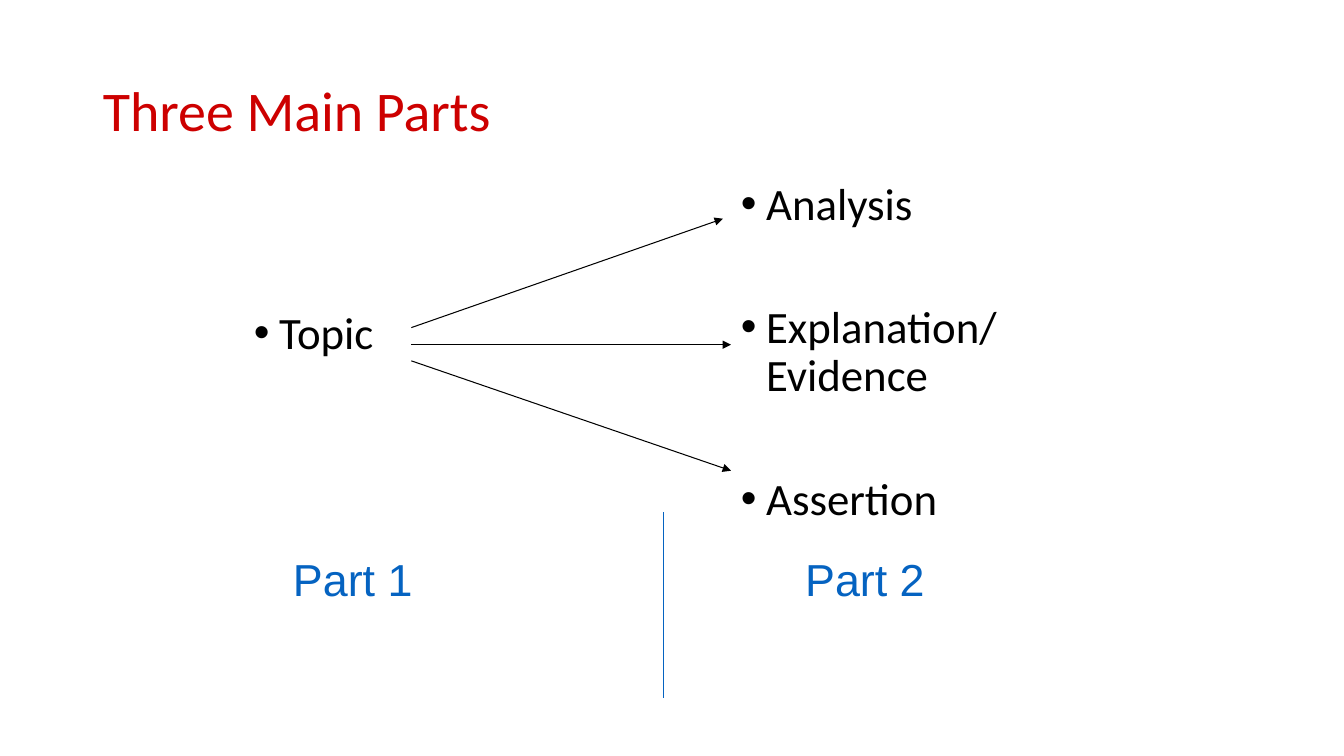
from dataclasses import dataclass

import pptx
import pptx.dml.color
import pptx.enum.shapes
import pptx.enum.text
import pptx.oxml
import pptx.oxml.ns
import pptx.util
from pptx.util import Inches

COLORS = {"title": "CD0000", "text": "000000", "accent": "0563C1"}
ALIGN = pptx.enum.text.PP_ALIGN


@dataclass
class BulletList:
    left: float
    width: float
    top_inset: float
    items: list[str]


@dataclass
class PartLabel:
    left: float
    text: str


@dataclass
class Line:
    start: tuple[float, float]
    end: tuple[float, float]
    color: str
    arrow: bool = True


LISTS = [
    BulletList(2.42, 4.42, 1.33, ["Topic"]),
    BulletList(7.25, 3.08, 0.05, ["Analysis", "Explanation/Evidence", "Assertion"]),
]
LABELS = [PartLabel(2.5, "Part 1"), PartLabel(7.58, "Part 2")]
LINES = [
    Line((4.08, 3.25), (7.17, 2.17), "text"),
    Line((4.08, 3.42), (7.25, 3.42), "text"),
    Line((4.08, 3.58), (7.25, 4.67), "text"),
    Line((6.58, 5.08), (6.58, 6.92), "accent", arrow=False),
]


def rgb(name: str) -> pptx.dml.color.RGBColor:
    return pptx.dml.color.RGBColor.from_string(COLORS[name])


def format_paragraph(paragraph, size: float, font: str, color: str, align) -> None:
    paragraph.alignment = align
    for run in paragraph.runs:
        run.font.size = pptx.util.Pt(size)
        run.font.name = font
        run.font.color.rgb = rgb(color)


def add_element(parent, tag: str, **attributes: str):
    element = pptx.oxml.parse_xml(f"<{tag} {pptx.oxml.ns.nsdecls('a')}/>")
    for key, value in attributes.items():
        element.set(key, value)
    parent.append(element)
    return element


def draw_title(slide, text: str) -> None:
    title = slide.shapes.title
    title.left, title.top = Inches(0.92), Inches(0.4)
    title.width, title.height = Inches(11.5), Inches(1.45)
    title.text_frame.text = text
    title.text_frame.vertical_anchor = pptx.enum.text.MSO_ANCHOR.MIDDLE
    paragraph = title.text_frame.paragraphs[0]
    paragraph.line_spacing = 0.9
    format_paragraph(paragraph, 40, "Calibri", "title", ALIGN.LEFT)


def draw_list(slide, bullets: BulletList) -> None:
    box = slide.shapes.add_textbox(
        Inches(bullets.left), Inches(1.75), Inches(bullets.width), Inches(4.95))
    frame = box.text_frame
    frame.word_wrap = True
    frame.margin_top = Inches(bullets.top_inset)
    frame.text = "\n".join(bullets.items)
    for index, paragraph in enumerate(frame.paragraphs):
        paragraph.line_spacing = 0.9
        paragraph.space_before = pptx.util.Pt(53.5 if index else 0)
        format_paragraph(paragraph, 32, "Calibri", "text", ALIGN.LEFT)
        properties = paragraph._p.get_or_add_pPr()
        properties.set("marL", str(Inches(0.25)))
        properties.set("indent", str(Inches(-0.25)))
        add_element(properties, "a:buFont", typeface="Arial")
        add_element(properties, "a:buChar", char="•")


def draw_label(slide, label: PartLabel) -> None:
    box = slide.shapes.add_textbox(
        Inches(label.left), Inches(5.42), Inches(2), Inches(0.63))
    box.text_frame.word_wrap = True
    box.text_frame.text = label.text
    format_paragraph(
        box.text_frame.paragraphs[0], 32, "Arial", "accent", ALIGN.CENTER)


def draw_line(slide, line: Line) -> None:
    connector = slide.shapes.add_connector(
        pptx.enum.shapes.MSO_CONNECTOR.STRAIGHT,
        *(Inches(value) for value in line.start + line.end))
    connector.line.color.rgb = rgb(line.color)
    connector.line.width = pptx.util.Pt(0.75)
    if line.arrow:
        add_element(connector.line._get_or_add_ln(), "a:tailEnd", type="triangle")
    add_element(connector._element.spPr, "a:effectLst")


def main() -> None:
    presentation = pptx.Presentation()
    presentation.slide_width = Inches(13.33)
    presentation.slide_height = Inches(7.5)
    slide = presentation.slides.add_slide(presentation.slide_layouts[5])
    draw_title(slide, "Three Main Parts")
    for bullets in LISTS:
        draw_list(slide, bullets)
    for line in LINES:
        draw_line(slide, line)
    for label in LABELS:
        draw_label(slide, label)
    presentation.save("out.pptx")


if __name__ == "__main__":
    main()
